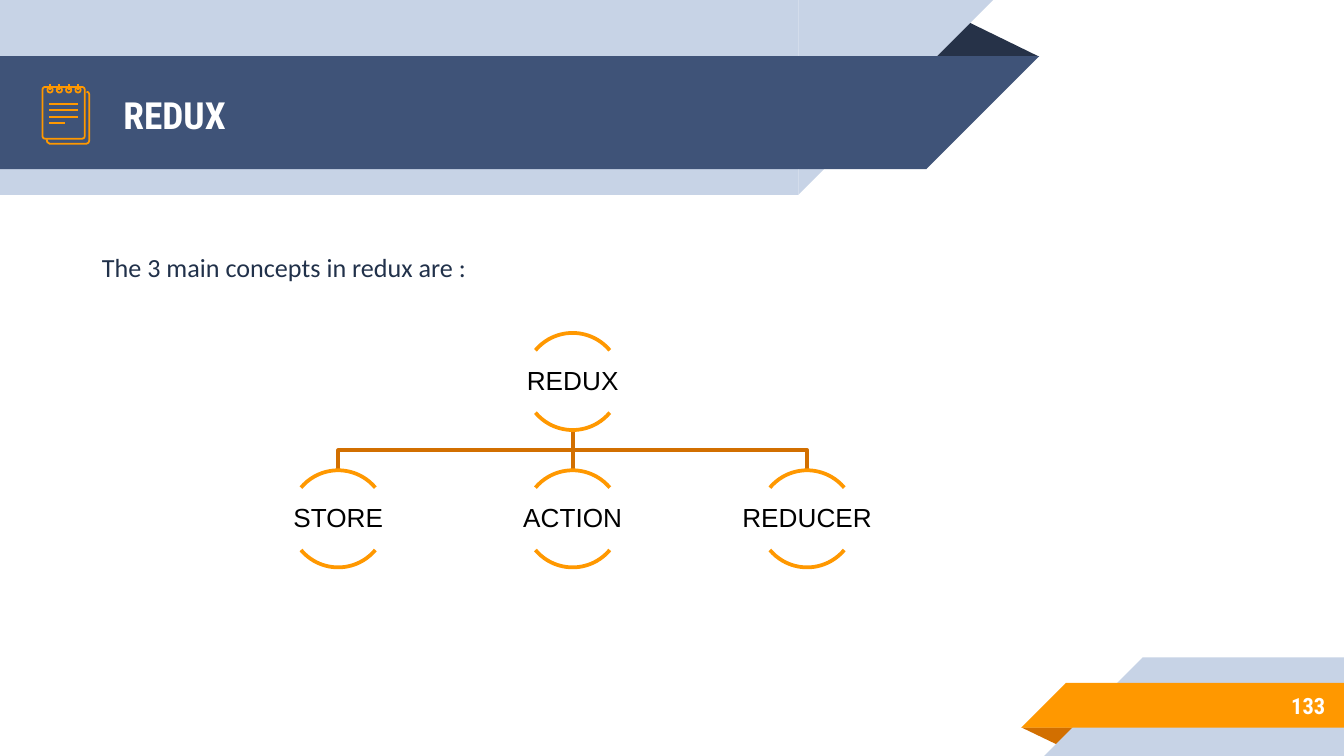
"""Build the slide that introduces the three main concepts of Redux."""
import dataclasses

import lxml.etree
import pptx
import pptx.dml.color
import pptx.enum.shapes
import pptx.enum.text
import pptx.oxml.ns
import pptx.util

Pt = pptx.util.Pt
RGB = pptx.dml.color.RGBColor.from_string
SHAPE = pptx.enum.shapes.MSO_SHAPE
STRAIGHT = pptx.enum.shapes.MSO_CONNECTOR.STRAIGHT
ALIGN = pptx.enum.text.PP_ALIGN
ANCHOR = pptx.enum.text.MSO_ANCHOR


@dataclasses.dataclass(frozen=True)
class Theme:
    navy: str = "3F5378"
    dark_navy: str = "263248"
    pale: str = "C7D3E6"
    orange: str = "FF9800"
    dark_orange: str = "D26F00"
    white: str = "FFFFFF"
    black: str = "000000"
    ink: str = "21314A"
    heading_font: str = "Roboto Condensed"
    body_font: str = "Calibri"
    node_font: str = "Arial"
    title_size: float = 20
    body_size: float = 14
    number_size: float = 12
    icon_line: float = 0.96
    tree_line: float = 2


theme = Theme()
deck = pptx.Presentation()
deck.slide_width, deck.slide_height = Pt(720), Pt(405)
page = deck.slides.add_slide(deck.slide_layouts[6])
shapes = page.shapes


def add_text(text, frame, inset, font, size, colour, bold=False,
             align=ALIGN.LEFT, anchor=ANCHOR.MIDDLE, spacing=1.0):
    box = shapes.add_textbox(*map(Pt, frame))
    body = box.text_frame
    body.word_wrap = True
    body.vertical_anchor = anchor
    body.margin_left = body.margin_right = Pt(inset[0])
    body.margin_top = body.margin_bottom = Pt(inset[1])
    para = body.paragraphs[0]
    para.alignment = align
    para.line_spacing = spacing
    span = para.add_run()
    span.text = text
    span.font.name, span.font.size, span.font.bold = font, Pt(size), bold
    span.font.color.rgb = RGB(colour)


def outline(shape, colour, width):
    if hasattr(shape, "fill"):
        shape.fill.background()
    shape.line.color.rgb = RGB(colour)
    shape.line.width = Pt(width)
    lxml.etree.SubElement(shape._element.spPr, pptx.oxml.ns.qn("a:effectLst"))


ribbons = [
    (SHAPE.ISOSCELES_TRIANGLE, (495.4, 10.1, 61.2, 20.2), 0, theme.dark_navy),
    (SHAPE.RECTANGLE, (0, 0, 427.7, 104.4), 0, theme.pale),
    (SHAPE.RIGHT_TRIANGLE, (427.7, 0, 104.4, 104.4), 90, theme.pale),
    (SHAPE.RECTANGLE, (0, 30.1, 496.2, 60.5), 0, theme.navy),
    (SHAPE.RIGHT_TRIANGLE, (496.2, 30.1, 60.5, 60.5), 90, theme.navy),
    (SHAPE.ISOSCELES_TRIANGLE, (547.2, 389.7, 31, 10.1), 180, theme.dark_orange),
    (SHAPE.RECTANGLE, (612.2, 352.2, 107.8, 52.8), 0, theme.pale),
    (SHAPE.RIGHT_TRIANGLE, (559.4, 352.2, 52.8, 52.8), 270, theme.pale),
    (SHAPE.RECTANGLE, (571, 365.9, 149, 23.9), 0, theme.orange),
    (SHAPE.RIGHT_TRIANGLE, (547.1, 365.9, 23.9, 23.9), 270, theme.orange),
]
for kind, frame, rotation, colour in ribbons:
    ribbon = shapes.add_shape(kind, *map(Pt, frame))
    ribbon.rotation = rotation
    ribbon.shadow.inherit = False
    ribbon.fill.solid()
    ribbon.fill.fore_color.rgb = RGB(colour)
    ribbon.line.fill.background()
    if kind == SHAPE.ISOSCELES_TRIANGLE:
        ribbon.adjustments[0] = 0.324

add_text("REDUX", (59, 31, 483, 60.5), (7.2, 7.2), theme.heading_font,
         theme.title_size, theme.white, bold=True)
add_text("133", (600, 365.3, 117, 25), (7.2, 7.2), theme.heading_font,
         theme.number_size, theme.white, bold=True, align=ALIGN.RIGHT)

back_sheet = shapes.build_freeform(Pt(25), Pt(74.6), scale=1)
back_sheet.add_line_segments(
    [(Pt(x), Pt(y)) for x, y in
     [(25.4, 76.2), (26.7, 77), (46.3, 77), (47.5, 76.4), (47.8, 75.4),
      (47.8, 50.4), (47.4, 49.4), (46.4, 49.2)]], close=False)
outline(back_sheet.convert_to_shape(), theme.orange, theme.icon_line)
front_sheet = shapes.add_shape(SHAPE.ROUNDED_RECTANGLE, Pt(22.8), Pt(46.6), Pt(22.6), Pt(27.7))
front_sheet.adjustments[0] = 0.06
outline(front_sheet, theme.orange, theme.icon_line)

icon_lines = [(26.5, 55.7 + 3.4 * row, 41.8 if row < 3 else 34.6, 55.7 + 3.4 * row)
              for row in range(4)]
for column in range(4):
    centre = 26.8 + 5 * column
    ring = shapes.add_shape(SHAPE.OVAL, Pt(centre - 1.4), Pt(46.8), Pt(2.8), Pt(2.8))
    outline(ring, theme.orange, theme.icon_line)
    icon_lines.append((centre, 45, centre, 48.2))
for ends in icon_lines:
    outline(shapes.add_connector(STRAIGHT, *map(Pt, ends)), theme.orange, theme.icon_line)

add_text("The 3 main concepts in redux are :", (47.5, 131, 680, 92), (7.2, 3.6),
         theme.body_font, theme.body_size, theme.ink, anchor=ANCHOR.TOP)

circle, root_centre, root_top, child_top, pitch = 52, 306.8, 178.4, 252, 125.6
root_bottom = root_top + circle
middle = (root_bottom + child_top) / 2
nodes = [("REDUX", root_centre, root_top)]
for offset, name in zip((-1, 0, 1), ("STORE", "ACTION", "REDUCER")):
    centre = root_centre + offset * pitch
    nodes.append((name, centre, child_top))
    if offset == 0:
        branch = shapes.add_connector(STRAIGHT, Pt(centre), Pt(root_bottom),
                                      Pt(centre), Pt(child_top))
    else:
        route = shapes.build_freeform(Pt(root_centre), Pt(root_bottom), scale=1)
        route.add_line_segments([(Pt(root_centre), Pt(middle)), (Pt(centre), Pt(middle)),
                                 (Pt(centre), Pt(child_top))], close=False)
        branch = route.convert_to_shape()
    outline(branch, theme.dark_orange, theme.tree_line)

for name, centre, top in nodes:
    for start, end in ((132, 192), (24, 84)):
        arc = shapes.add_shape(SHAPE.ARC, Pt(centre - circle / 2), Pt(top), Pt(circle), Pt(circle))
        arc.adjustments[0], arc.adjustments[1] = start, end
        outline(arc, theme.orange, theme.tree_line)
    add_text(name, (centre - circle, top + 9.4, 2 * circle, 33.2), (0.7, 0.7),
             theme.node_font, theme.body_size, theme.black, align=ALIGN.CENTER, spacing=0.9)

deck.save("out.pptx")
